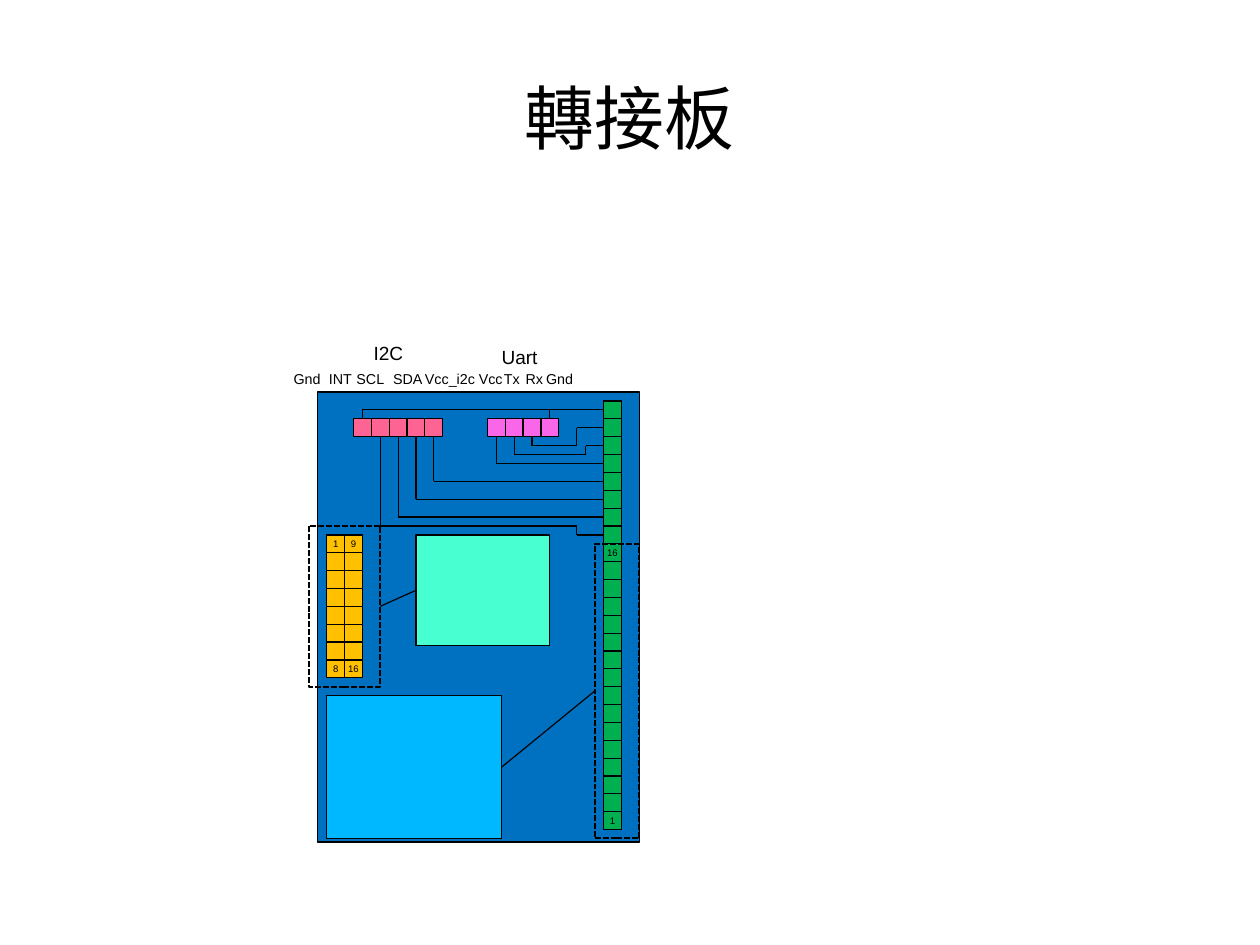
from pptx import Presentation
from pptx.dml.color import RGBColor
from pptx.enum.dml import MSO_LINE
from pptx.enum.shapes import MSO_CONNECTOR, MSO_SHAPE
from pptx.enum.text import MSO_ANCHOR, MSO_AUTO_SIZE, PP_ALIGN
from pptx.oxml.ns import qn
from pptx.util import Inches, Pt
from lxml.etree import SubElement
from itertools import pairwise

FONT = "Arial"
PITCH = 3.75 / 24
COLORS = {
    "ink": "000000", "board": "0070C0", "edge": "00B050", "screen": "00B8FF",
    "chip": "47FFD1", "plug": "FFC000", "uart": "FA66E8", "i2c": "FD6393",
}
PADS = [("edge", 16, 0.5, 1, 24, {8: "16", 23: "1"}),
        ("plug", 0.5, 8, 1, 8, {0: "1", 7: "8"}),
        ("plug", 1.5, 8, 1, 8, {0: "9", 7: "16"}),
        ("uart", 9.5, 1.5, 4, 1, {}),
        ("i2c", 2, 1.5, 5, 1, {})]
WIRES = [
    [(2.5, 1.5), (2.5, 1), (16, 1)],
    [(13, 1.5), (13, 1)],
    [(12, 2.5), (12, 3), (14.5, 3), (14.5, 2), (16, 2)],
    [(11, 2.5), (11, 3.5), (15, 3.5), (15, 3), (16, 3)],
    [(10, 2.5), (10, 4), (16, 4)],
    [(6.5, 2.5), (6.5, 5), (16, 5)],
    [(5.5, 2.5), (5.5, 6), (16, 6)],
    [(4.5, 2.5), (4.5, 7), (16, 7)],
    [(3.5, 2.5), (3.5, 7.5), (14.5, 7.5), (14.5, 8), (16, 8)],
]
LEADS = [[(5.5, 11.1), (3.5, 12)], [(15.5, 16.75), (10.3, 21)]]
LABELS = [
    ("I2C", 0.39, -0.47, 0.46, 12), ("Uart", 1.51, -0.44, 0.51, 12),
    ("Gnd", -0.31, -0.23, 0.43, 9), ("INT", 0, -0.23, 0.4, 9),
    ("SCL", 0.24, -0.23, 0.44, 9), ("SDA", 0.56, -0.23, 0.45, 9),
    ("Vcc_i2c", 0.84, -0.23, 0.64, 9), ("Vcc", 1.31, -0.23, 0.41, 9),
    ("Tx", 1.53, -0.23, 0.34, 9), ("Rx", 1.72, -0.23, 0.35, 9),
    ("Gnd", 1.9, -0.23, 0.43, 9),
]


def tint(name):
    """Return the named colour."""
    return RGBColor.from_string(COLORS[name])


def write(frame, text, size, align=PP_ALIGN.LEFT):
    """Put one styled line of text in a frame."""
    frame.text = text
    line = frame.paragraphs[0]
    line.alignment = align
    line.font.name = FONT
    line.font.size = Pt(size)
    line.font.color.rgb = tint("ink")


def center(frame):
    """Drop the margins and centre the text vertically."""
    frame.margin_left = frame.margin_right = 0
    frame.margin_top = frame.margin_bottom = 0
    frame.vertical_anchor = MSO_ANCHOR.MIDDLE


def head(slide, text, left, top, width, height):
    """Place the title."""
    title = slide.shapes.title
    title.left, title.top = Inches(left), Inches(top)
    title.width, title.height = Inches(width), Inches(height)
    frame = title.text_frame
    frame.auto_size = MSO_AUTO_SIZE.NONE
    center(frame)
    write(frame, text, 44, PP_ALIGN.CENTER)


class Board:
    """A circuit board drawn on a grid of pin pitches."""

    def __init__(self, slide, left, top):
        """Keep the top left corner and the joints of each box."""
        self.shapes, self.left, self.top = slide.shapes, left, top
        self.joints = {}

    def spot(self, x, y):
        """Turn grid units into slide lengths."""
        return Inches(self.left + x * PITCH), Inches(self.top + y * PITCH)

    def box(self, x, y, wide, high, fill=None, text=""):
        """Draw a filled or dashed box and note its side middles."""
        shape = self.shapes.add_shape(
            MSO_SHAPE.RECTANGLE, *self.spot(x, y),
            Inches(wide * PITCH), Inches(high * PITCH))
        shape.shadow.inherit = False
        shape.line.color.rgb = tint("ink")
        if fill:
            shape.fill.solid()
            shape.fill.fore_color.rgb = tint(fill)
            shape.line.width = Pt(0.75)
        else:
            shape.fill.background()
            shape.line.width = Pt(1.25)
            shape.line.dash_style = MSO_LINE.SQUARE_DOT
        if text:
            center(shape.text_frame)
            shape.text_frame.word_wrap = False
            write(shape.text_frame, text, 6, PP_ALIGN.CENTER)
        sides = [(x + wide / 2, y), (x, y + high / 2),
                 (x + wide / 2, y + high), (x + wide, y + high / 2)]
        for side, (across, down) in enumerate(sides):
            self.joints[round(across, 2), round(down, 2)] = shape, side

    def pads(self, fill, x, y, cols, rows, marks):
        """Draw a block of pins, some of them numbered."""
        for row in range(rows):
            for col in range(cols):
                self.box(x + col, y + row, 1, 1, fill, marks.get(row, ""))

    def wire(self, points):
        """Draw a run of straight lines, joined to boxes at its ends."""
        for start, end in pairwise(points):
            line = self.shapes.add_connector(
                MSO_CONNECTOR.STRAIGHT, *self.spot(*start), *self.spot(*end))
            line.line.color.rgb = tint("ink")
            line.line.width = Pt(0.75)
            SubElement(line._element.spPr, qn("a:effectLst"))
            if start in self.joints:
                line.begin_connect(*self.joints[start])
            if end in self.joints:
                line.end_connect(*self.joints[end])

    def label(self, text, x, y, wide, size):
        """Write a label at an offset in inches from the corner."""
        note = self.shapes.add_textbox(
            Inches(self.left + x), Inches(self.top + y),
            Inches(wide), Inches(0.24 if size == 9 else 0.29))
        frame = note.text_frame
        frame.word_wrap = False
        frame.auto_size = MSO_AUTO_SIZE.NONE
        frame.margin_right = 0
        write(frame, text, size)
        frame.paragraphs[0].line_spacing = 0.93

    def draw(self):
        """Draw the board with its parts, labels and wires."""
        self.box(0, 0, 18, 25.2, "board")
        self.box(0.5, 17, 9.8, 8, "screen")
        self.box(5.5, 8, 7.5, 6.2, "chip")
        for block in PADS:
            self.pads(*block)
        for label in LABELS:
            self.label(*label)
        for points in WIRES:
            self.wire(points)
        self.box(-0.5, 7.5, 4, 9)
        self.box(15.5, 8.5, 2.5, 16.5)
        for points in LEADS:
            self.wire(points)


def main():
    """Build and save the slide."""
    deck = Presentation()
    deck.slide_width, deck.slide_height = Inches(28 / 2.54), Inches(21 / 2.54)
    slide = deck.slides.add_slide(deck.slide_layouts[5])
    head(slide, "轉接板", 0.55, 0.33, 9.92, 1.38)
    Board(slide, 2.78, 3.43).draw()
    deck.save("out.pptx")


if __name__ == "__main__":
    main()
